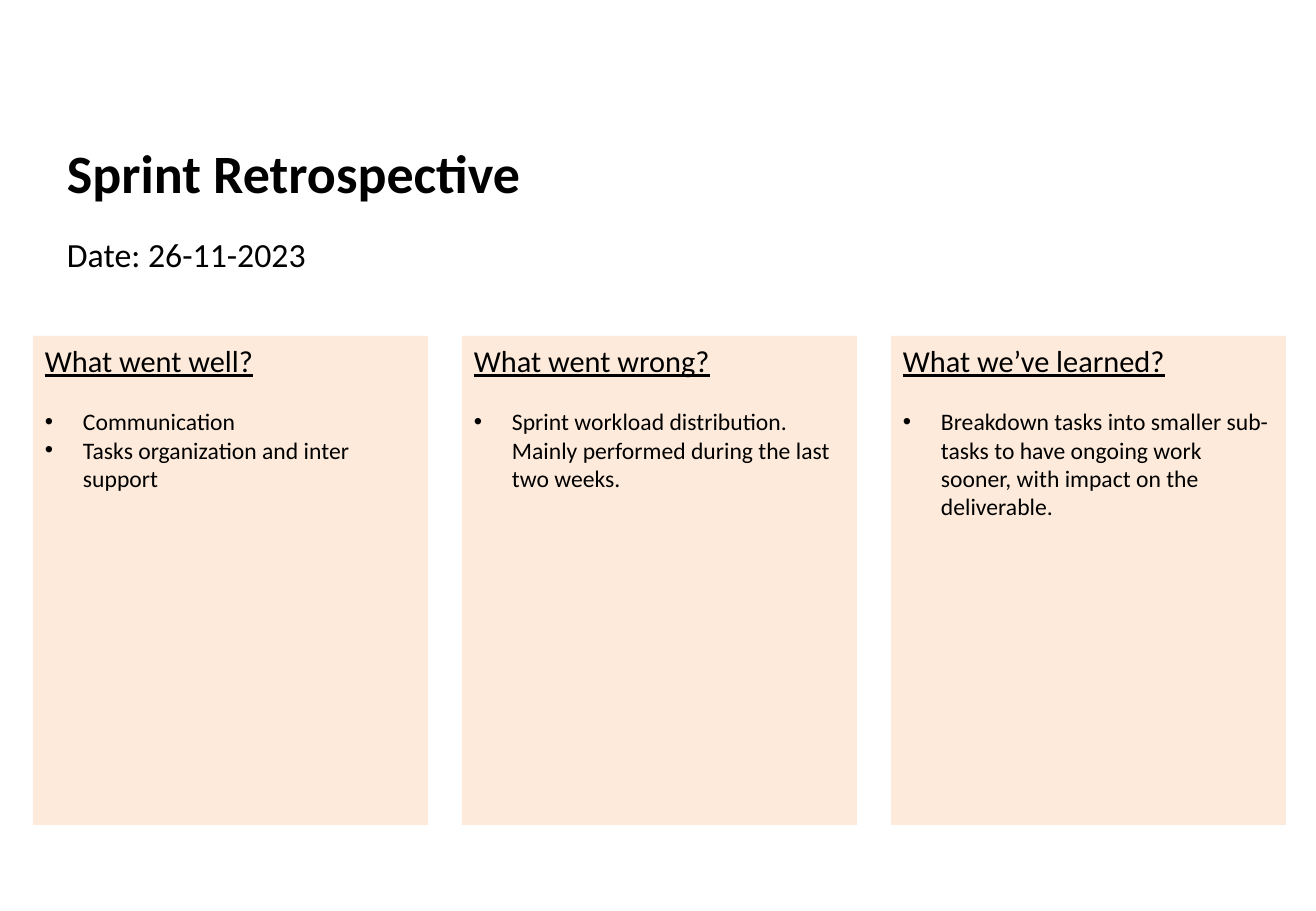
from lxml import etree
from pptx import Presentation
from pptx.dml.color import RGBColor
from pptx.enum.shapes import MSO_SHAPE
from pptx.enum.text import MSO_ANCHOR, PP_ALIGN
from pptx.oxml.ns import qn
from pptx.util import Pt

RECTANGLE = MSO_SHAPE.RECTANGLE
TOP = MSO_ANCHOR.TOP
LEFT = PP_ALIGN.LEFT

PX = 7526  # EMU per px
FONT = "Calibri"
COLORS = {"text": "000000", "card": "FDEADA"}
BULLET_INDENT = 38


def prepare_frame(box):
    frame = box.text_frame
    frame.word_wrap = True
    frame.vertical_anchor = TOP
    frame.margin_left = frame.margin_right = 12 * PX
    frame.margin_top = frame.margin_bottom = 6 * PX
    return frame


def write_paragraph(para, text, size):
    para.text = text
    para.alignment = LEFT
    para.font.name = FONT
    para.font.size = Pt(size)
    para.font.color.rgb = RGBColor.from_string(COLORS["text"])


deck = Presentation()
deck.slide_width = 1316 * PX
deck.slide_height = 911 * PX
page = deck.slides.add_slide(deck.slide_layouts[6])

# Title and date
HEADINGS = [
    ("Sprint Retrospective", 134, 77, 32, True),
    ("Date: 26-11-2023", 228, 610, 20, False),
]
for text, top, height, size, bold in HEADINGS:
    box = page.shapes.add_textbox(55 * PX, top * PX, 1202 * PX, height * PX)
    para = prepare_frame(box).paragraphs[0]
    write_paragraph(para, text, size)
    para.font.bold = bold

# Three retrospective cards
CARDS = [
    ("What went well?",
     ["Communication", "Tasks organization and inter support"]),
    ("What went wrong?",
     ["Sprint workload distribution. Mainly performed during the last two weeks."]),
    ("What we’ve learned?",
     ["Breakdown tasks into smaller sub-tasks to have ongoing work sooner, "
      "with impact on the deliverable."]),
]
CARD_LEFT, CARD_TOP, CARD_WIDTH, CARD_HEIGHT, CARD_GAP = 33, 336, 395, 489, 34

for index, (question, answers) in enumerate(CARDS):
    left = CARD_LEFT + index * (CARD_WIDTH + CARD_GAP)
    card = page.shapes.add_shape(
        RECTANGLE, left * PX, CARD_TOP * PX, CARD_WIDTH * PX, CARD_HEIGHT * PX)
    card.shadow.inherit = False
    card.fill.solid()
    card.fill.fore_color.rgb = RGBColor.from_string(COLORS["card"])
    card.line.fill.background()
    frame = prepare_frame(card)

    # Underlined question
    para = frame.paragraphs[0]
    write_paragraph(para, question, 18)
    para.font.underline = True
    para.space_after = Pt(17)

    # Bulleted answers
    for answer in answers:
        para = frame.add_paragraph()
        write_paragraph(para, answer, 14)
        properties = para._p.get_or_add_pPr()
        properties.set("marL", str(BULLET_INDENT * PX))
        properties.set("indent", str(-BULLET_INDENT * PX))
        bullet_font = etree.Element(qn("a:buFont"), typeface="Arial")
        bullet = etree.Element(qn("a:buChar"), char="•")
        properties.insert(0, bullet_font)
        properties.insert(1, bullet)

deck.save("out.pptx")
